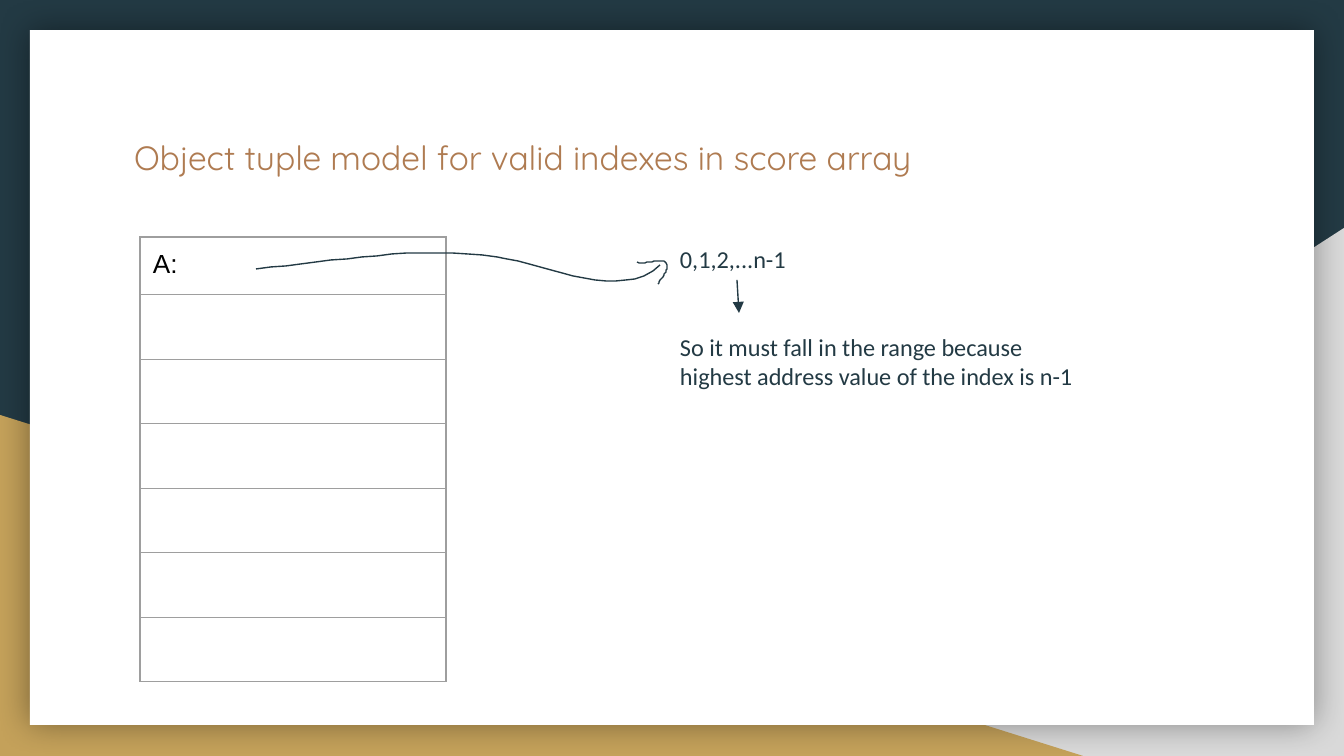
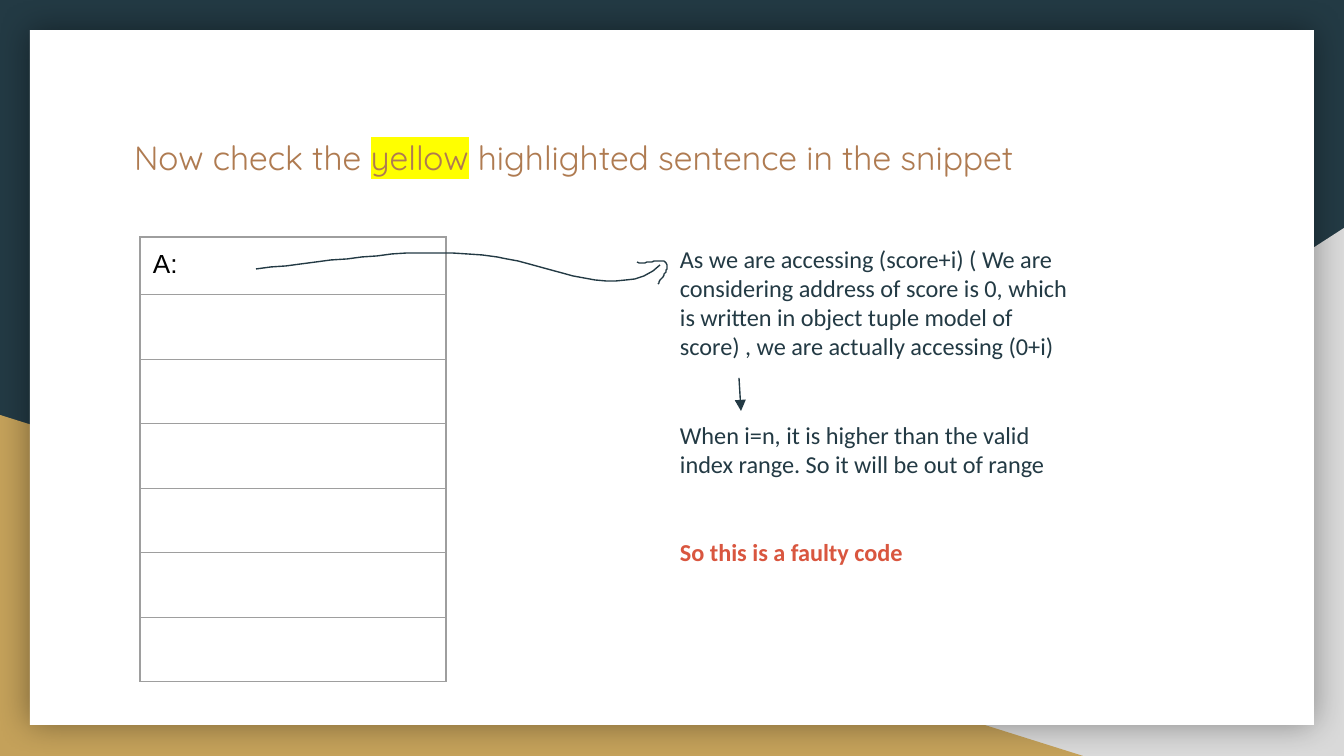
"""Build two slides that check array indexes with an object tuple model."""
from lxml import etree
from pptx import Presentation
from pptx import util as u
from pptx.dml.color import RGBColor
from pptx.enum import shapes, text
from pptx.oxml import ns

PX = 914400 / 134.4
SIZE = (1344, 756)
INK, GREY, GOLD, WHITE = "233A44", "D9D9D9", "C4A15A", "FFFFFF"
BROWN, RED, YELLOW, BORDER, BLACK = "AF7B51", "D9563F", "FFFF00", "9E9E9E", "000000"
INSET = 13
LINE_WIDTH = 0.75
STEPS = 16

GREY_CORNER = (527, 228, 817, 528)
GOLD_CORNER = (0, 415, 1083, 341)
CARD = (30, 30, 1284, 695)
TITLE_AT = (121, 124, 1103)
BODY_AT = (667, 231, 421)
TABLE_AT = (140, 237, 306, 443)
ROW_HEIGHTS = [56] + [65, 64] * 3
CELL_LABEL = "A:"

POINTER = ((256, 269), [((336, 261), (418, 245), (497, 257)),
                        ((551, 265), (622, 302), (660, 265))])
POINTER_HEAD = ((637, 262), [((646, 266), (663, 255), (667, 265)),
                             ((669, 270), (661, 278), (658, 284))])

SLIDES = [
    {
        "title": [("Object tuple model for valid indexes in score array", None)],
        "title_height": 78,
        "body": [
            ("0,1,2,...n-1", INK, False),
            ("So it must fall in the range because highest address value of the "
             "index is n-1", INK, False),
        ],
        "body_height": 204,
        "arrow": (737, 280, 739, 313),
    },
    {
        "title": [("Now check the ", None), ("yellow", YELLOW),
                  (" highlighted sentence in the snippet", None)],
        "title_height": 54,
        "body": [
            ("As we are accessing (score+i) ( We are considering address of score "
             "is 0, which is written in object tuple model of score) , we are "
             "actually accessing (0+i)", INK, False),
            ("When i=n, it is higher than the valid index range. So it will be "
             "out of range", INK, False),
            ("So this is a faulty code", RED, True),
        ],
        "body_height": 395,
        "arrow": (739, 378, 741, 411),
    },
]


def px(*lengths):
    return [u.Emu(round(length * PX)) for length in lengths]


def color(value):
    return RGBColor.from_string(value)


def add_element(parent, tag, **attributes):
    return etree.SubElement(parent, ns.qn(tag), attributes)


def add_color(parent, value):
    return add_element(parent, "a:srgbClr", val=value)


def set_font(font, name, size, value, bold=False):
    font.name, font.size, font.bold = name, u.Pt(size), bold
    font.color.rgb = color(value)


def set_line(line):
    line.color.rgb = color(INK)
    line.width = u.Pt(LINE_WIDTH)


def add_block(slide, kind, box, value):
    shape = slide.shapes.add_shape(kind, *px(*box))
    shape.shadow.inherit = False
    shape.fill.solid()
    shape.fill.fore_color.rgb = color(value)
    shape.line.fill.background()
    return shape


def add_backdrop(slide):
    slide.background.fill.solid()
    slide.background.fill.fore_color.rgb = color(INK)
    triangle = shapes.MSO_SHAPE.RIGHT_TRIANGLE
    corner = add_block(slide, triangle, GREY_CORNER, GREY)
    corner._element.spPr.xfrm.set("flipH", "1")
    add_block(slide, triangle, GOLD_CORNER, GOLD)
    card = add_block(slide, shapes.MSO_SHAPE.RECTANGLE, CARD, WHITE)
    effects = card._element.spPr.find(ns.qn("a:effectLst"))
    shadow = add_element(effects, "a:outerShdw", blurRad=str(u.Pt(18)), dist="0",
                         algn="ctr", rotWithShape="0")
    add_element(add_color(shadow, BLACK), "a:alpha", val="40000")


def add_text_frame(slide, box):
    frame = slide.shapes.add_textbox(*px(*box)).text_frame
    frame.word_wrap = True
    frame.vertical_anchor = text.MSO_ANCHOR.TOP
    frame.margin_left, frame.margin_right, frame.margin_top, frame.margin_bottom = px(*[INSET] * 4)
    return frame


def add_title(slide, pieces, height):
    paragraph = add_text_frame(slide, (*TITLE_AT, height)).paragraphs[0]
    set_font(paragraph.font, "Quicksand", 18, BROWN)
    for words, highlight in pieces:
        run = paragraph.add_run()
        run.text = words
        if highlight:
            add_color(add_element(run._r.get_or_add_rPr(), "a:highlight"), highlight)


def add_body(slide, lines, height):
    frame = add_text_frame(slide, (*BODY_AT, height))
    for index, (words, value, bold) in enumerate(lines):
        paragraph = frame.add_paragraph() if index else frame.paragraphs[0]
        paragraph.text = words
        paragraph.space_before = u.Pt(31.7 if index else 0)
        set_font(paragraph.font, "Calibri", 13, value, bold)


def add_borders(cell):
    properties = cell._tc.get_or_add_tcPr()
    for index, side in enumerate(("a:lnL", "a:lnR", "a:lnT", "a:lnB")):
        border = add_element(properties, side, w=str(u.Pt(LINE_WIDTH)))
        add_color(add_element(border, "a:solidFill"), BORDER)
        properties.insert(index, border)


def add_memory_table(slide):
    table = slide.shapes.add_table(len(ROW_HEIGHTS), 1, *px(*TABLE_AT)).table
    table.first_row = table.horz_banding = False
    for row, height in zip(table.rows, px(*ROW_HEIGHTS)):
        row.height = height
        cell = row.cells[0]
        cell.fill.background()
        add_borders(cell)
    label = table.cell(0, 0)
    label.margin_left, label.margin_right, label.margin_top, label.margin_bottom = px(*[INSET] * 4)
    paragraph = label.text_frame.paragraphs[0]
    paragraph.text = CELL_LABEL
    set_font(paragraph.font, "Arial", 14, BLACK)


def curve_points(start, segments):
    for first, second, end in segments:
        for step in range(1, STEPS + 1):
            t = step / STEPS
            s = 1 - t
            yield tuple(s**3 * a + 3 * s * s * t * b + 3 * s * t * t * c + t**3 * d
                        for a, b, c, d in zip(start, first, second, end))
        start = end


def add_curve(slide, start, segments):
    builder = slide.shapes.build_freeform(*start, scale=PX)
    builder.add_line_segments(curve_points(start, segments), close=False)
    shape = builder.convert_to_shape()
    shape.shadow.inherit = False
    shape.fill.background()
    set_line(shape.line)


def add_arrow(slide, ends):
    arrow = slide.shapes.add_connector(shapes.MSO_CONNECTOR.STRAIGHT, *px(*ends))
    set_line(arrow.line)
    add_element(arrow.line._get_or_add_ln(), "a:tailEnd", type="triangle")
    add_element(arrow._element.spPr, "a:effectLst")


def main():
    presentation = Presentation()
    presentation.slide_width, presentation.slide_height = px(*SIZE)
    for content in SLIDES:
        slide = presentation.slides.add_slide(presentation.slide_layouts[6])
        add_backdrop(slide)
        add_title(slide, content["title"], content["title_height"])
        add_memory_table(slide)
        for curve in (POINTER, POINTER_HEAD):
            add_curve(slide, *curve)
        add_body(slide, content["body"], content["body_height"])
        add_arrow(slide, content["arrow"])
    presentation.save("out.pptx")


if __name__ == "__main__":
    main()
